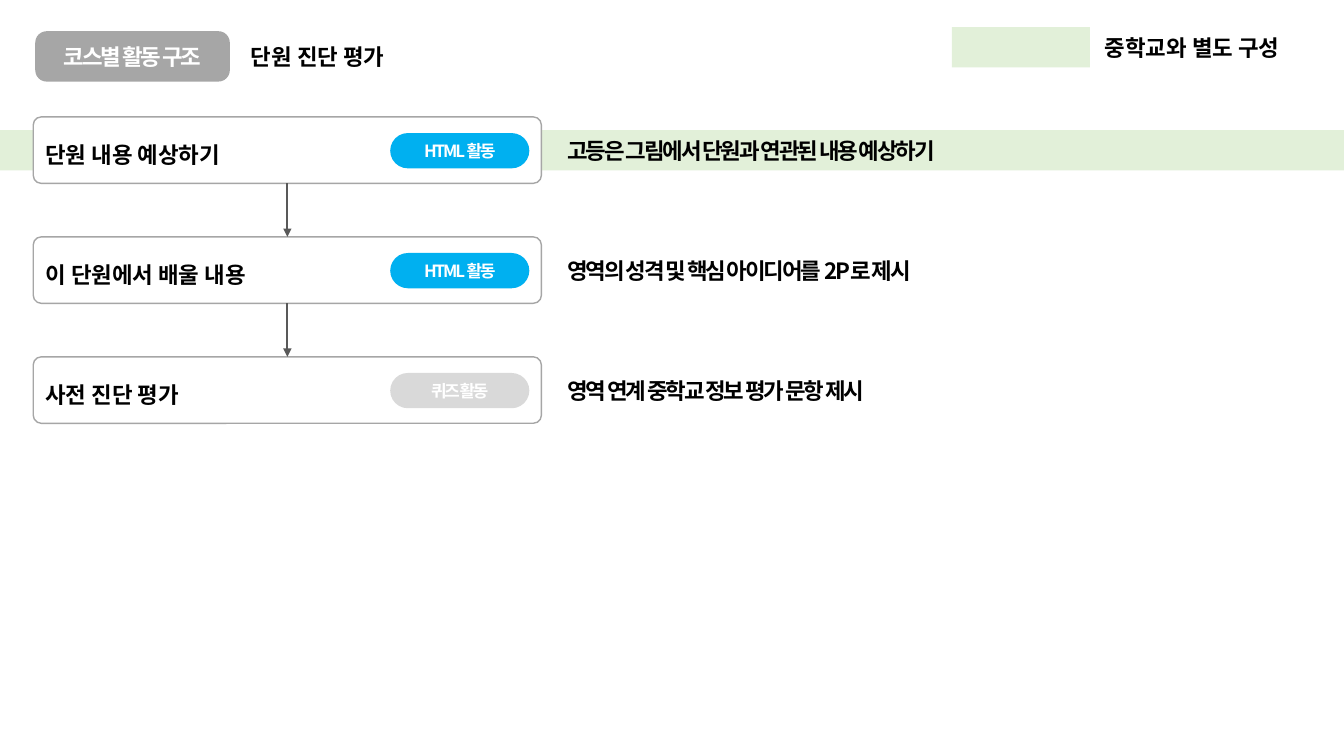
from lxml import etree
from pptx import Presentation
from pptx.dml.color import RGBColor
from pptx.enum.shapes import MSO_CONNECTOR, MSO_SHAPE
from pptx.enum.text import MSO_ANCHOR, MSO_AUTO_SIZE, PP_ALIGN
from pptx.oxml.ns import qn
from pptx.util import Inches, Pt

RECT = MSO_SHAPE.RECTANGLE
ROUNDED = MSO_SHAPE.ROUNDED_RECTANGLE
STRAIGHT = MSO_CONNECTOR.STRAIGHT
MIDDLE = MSO_ANCHOR.MIDDLE
LEFT = PP_ALIGN.LEFT
CENTER = PP_ALIGN.CENTER
GROW = MSO_AUTO_SIZE.SHAPE_TO_FIT_TEXT

BLACK = RGBColor(0x00, 0x00, 0x00)
WHITE = RGBColor(0xFF, 0xFF, 0xFF)
GREEN = RGBColor(0xE2, 0xF0, 0xD9)
GRAY = RGBColor(0xA6, 0xA6, 0xA6)
LIGHT_GRAY = RGBColor(0xD9, 0xD9, 0xD9)
DARK_GRAY = RGBColor(0x59, 0x59, 0x59)
BLUE = RGBColor(0x00, 0xB0, 0xF0)

FONT = "Noto Sans CJK KR"
TIGHT = "-150"
SLIDE_WIDTH, SLIDE_HEIGHT = 13.33, 7.5
STEP_PITCH = 1.19

STEPS = [
    ("단원 내용 예상하기", "HTML 활동", BLUE,
     "고등은 그림에서 단원과 연관된 내용 예상하기"),
    ("이 단원에서 배울 내용", "HTML 활동", BLUE,
     "영역의 성격 및 핵심 아이디어를 2P로 제시"),
    ("사전 진단 평가", "퀴즈 활동", LIGHT_GRAY,
     "영역 연계 중학교 정보 평가 문항 제시"),
]


def write(frame, text, size=16, color=BLACK, align=LEFT, tight=False, spacing=None):
    paragraph = frame.paragraphs[0]
    paragraph.alignment = align
    if spacing:
        paragraph.line_spacing = spacing
    run = paragraph.add_run()
    run.text = text
    run.font.color.rgb = color
    for key, value in {"size": Pt(size), "bold": True, "name": FONT}.items():
        setattr(run.font, key, value)
    properties = run.font._element if hasattr(run.font, "_element") else run._r.get_or_add_rPr()
    etree.SubElement(properties, qn("a:ea"), typeface=FONT)
    if tight:
        properties.set("spc", TIGHT)


def add_block(slide, kind, box, fill, line=None, corner=None):
    block = slide.shapes.add_shape(kind, *map(Inches, box))
    block.shadow.inherit = False
    block.fill.solid()
    block.fill.fore_color.rgb = fill
    if line is None:
        block.line.fill.background()
    else:
        block.line.color.rgb = line
        block.line.width = Pt(1)
    if corner is not None:
        block.adjustments[0] = corner
    block.text_frame.word_wrap = True
    block.text_frame.vertical_anchor = MIDDLE
    return block


def add_label(slide, box, text, tight=False):
    frame = slide.shapes.add_textbox(*map(Inches, box)).text_frame
    for key, value in {"word_wrap": True, "auto_size": GROW}.items():
        setattr(frame, key, value)
    write(frame, text, tight=tight)


def add_arrow(slide, upper, lower):
    arrow = slide.shapes.add_connector(STRAIGHT, 0, 0, 0, 0)
    arrow.begin_connect(upper, 2)
    arrow.end_connect(lower, 0)
    arrow.line.color.rgb = DARK_GRAY
    arrow.line.width = Pt(1.25)
    etree.SubElement(arrow.line._get_or_add_ln(), qn("a:tailEnd"), type="triangle")
    etree.SubElement(arrow._element.spPr, qn("a:effectLst"))


def add_header(slide, left, top):
    badge = add_block(slide, ROUNDED, (left, top, 1.93, 0.5), GRAY, corner=0.226)
    write(badge.text_frame, "코스별 활동 구조", color=WHITE, align=CENTER, tight=True)
    add_label(slide, (left + 2.04, top + 0.07, 4.79, 0.37), "단원 진단 평가")


def add_legend(slide, left, top):
    add_block(slide, RECT, (left, top, 1.37, 0.4), GREEN)
    add_label(slide, (left + 1.42, top + 0.02, 2.24, 0.37), "중학교와 별도 구성")


def add_step(slide, left, top, title, activity, activity_color, note):
    card = add_block(slide, ROUNDED, (left, top, 5.04, 0.66), WHITE, GRAY, 0.122)
    write(card.text_frame, title, spacing=1.3)
    pill = add_block(slide, ROUNDED, (left + 3.54, top + 0.16, 1.38, 0.35),
                     activity_color, corner=0.5)
    write(pill.text_frame, activity, size=12, color=WHITE, align=CENTER, tight=True)
    add_label(slide, (left + 5.2, top + 0.15, 5.88, 0.37), note, tight=True)
    return card


def add_flow(slide, left, top):
    add_block(slide, RECT, (0, top + 0.13, SLIDE_WIDTH, 0.4), GREEN)
    cards = [add_step(slide, left, top + row * STEP_PITCH, *step)
             for row, step in enumerate(STEPS)]
    for upper, lower in zip(cards, cards[1:]):
        add_arrow(slide, upper, lower)


def main():
    deck = Presentation()
    deck.slide_width = Inches(SLIDE_WIDTH)
    deck.slide_height = Inches(SLIDE_HEIGHT)
    slide = deck.slides.add_slide(deck.slide_layouts[6])
    add_flow(slide, 0.33, 1.16)
    add_header(slide, 0.35, 0.31)
    add_legend(slide, 9.44, 0.27)
    deck.save("out.pptx")


if __name__ == "__main__":
    main()
